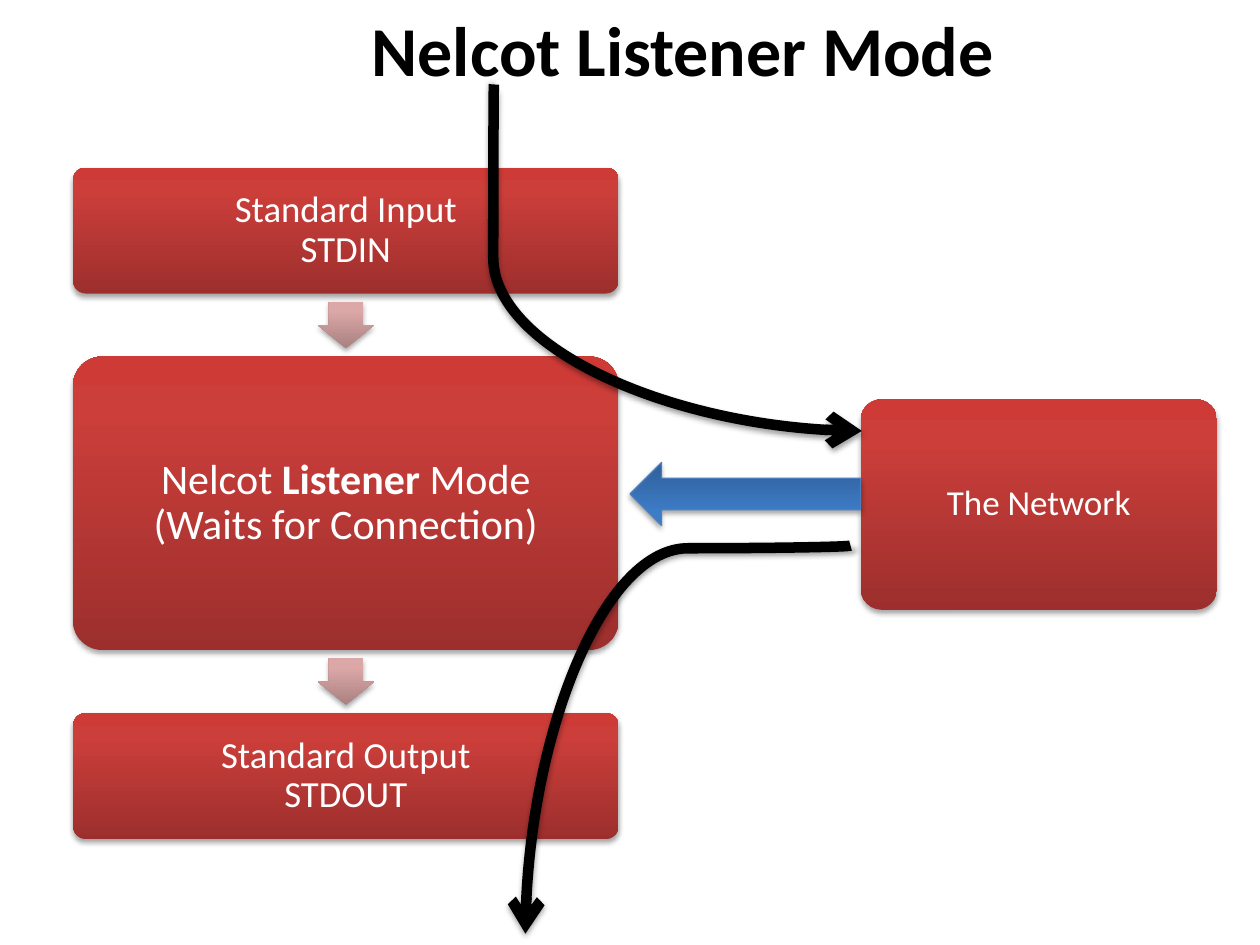
import pptx
import pptx.util
import pptx.dml.color
import pptx.enum.shapes
import pptx.enum.text
import pptx.oxml

Inches, Pt = pptx.util.Inches, pptx.util.Pt
SHAPE = pptx.enum.shapes.MSO_SHAPE
ALIGN = pptx.enum.text.PP_ALIGN
ANCHOR = pptx.enum.text.MSO_ANCHOR
NS = 'xmlns:a="http://schemas.openxmlformats.org/drawingml/2006/main"'

COLORS = {"ink": "000000", "white": "FFFFFF", "blue_edge": "4B7EBC"}
# Gradient stops at 0, 80 and 100 percent, from bottom to top
GRADIENTS = {
    "red": ("9C2F2D", "CB3E3A", "CE3B37"),
    "pink": ("A98180", "DBA7A7", "DDA7A6"),
    "blue": ("2F5F99", "3D7CC7", "3A7CCB"),
}


def rgb(name):
    return pptx.dml.color.RGBColor.from_string(COLORS[name])


def add_text(para, text, size=20, color="white", bold=False, font="Calibri"):
    """Add formatted text to a paragraph; a newline becomes a line break."""
    for index, line in enumerate(text.split("\n")):
        if index:
            para.add_line_break()
        span = para.add_run()
        span.text = line
        span.font.name = font
        span.font.size = Pt(size)
        span.font.bold = bold
        span.font.color.rgb = rgb(color)


class SlideBuilder:
    def __init__(self, deck):
        self.page = deck.slides.add_slide(deck.slide_layouts[5])

    def shade(self, shape, alpha, distance):
        shape._element.spPr.append(pptx.oxml.parse_xml(
            f'<a:effectLst {NS}><a:outerShdw blurRad="{Pt(3.1)}" dist="{Pt(distance)}" '
            f'dir="5400000" rotWithShape="0"><a:srgbClr val="{COLORS["ink"]}">'
            f'<a:alpha val="{alpha * 1000}"/></a:srgbClr></a:outerShdw></a:effectLst>'))

    def title(self, text, left, top, width, height):
        box = self.page.shapes.title
        box.left, box.top, box.width, box.height = map(Inches, (left, top, width, height))
        frame = box.text_frame
        frame.word_wrap = False
        frame.auto_size = pptx.enum.text.MSO_AUTO_SIZE.SHAPE_TO_FIT_TEXT
        frame.vertical_anchor = ANCHOR.TOP
        para = frame.paragraphs[0]
        para.alignment = ALIGN.LEFT
        add_text(para, text, size=40, color="ink", bold=True)

    def shape(self, kind, left, top, width, height, gradient, adjust=(),
              rotation=0, edge=None, turn_fill=True):
        shape = self.page.shapes.add_shape(kind, *map(Inches, (left, top, width, height)))
        shape.rotation = rotation
        for index, value in enumerate(adjust):
            shape.adjustments[index] = value
        if edge:
            shape.line.color.rgb = rgb(edge)
            shape.line.width = Pt(0.75)
        else:
            shape.line.fill.background()
        stops = "".join(f'<a:gs pos="{pos}"><a:srgbClr val="{color}"/></a:gs>'
                        for pos, color in zip((0, 80000, 100000), GRADIENTS[gradient]))
        # The fill goes right after the position and the geometry
        shape._element.spPr.insert(2, pptx.oxml.parse_xml(
            f'<a:gradFill {NS} rotWithShape="{int(turn_fill)}"><a:gsLst>{stops}</a:gsLst>'
            '<a:lin ang="16200000" scaled="0"/></a:gradFill>'))
        self.shade(shape, 35, 1.8)
        return shape

    def box(self, left, top, width, height, spans, size, inset):
        box = self.shape(SHAPE.ROUNDED_RECTANGLE, left, top, width, height, "red", (0.1,))
        frame = box.text_frame
        frame.word_wrap = True
        frame.vertical_anchor = ANCHOR.MIDDLE
        frame.margin_left = frame.margin_right = Inches(inset)
        frame.margin_top = frame.margin_bottom = Inches(inset)
        para = frame.paragraphs[0]
        para.alignment = ALIGN.CENTER
        para.line_spacing = 0.9
        for text, bold in spans:
            add_text(para, text, size=size, bold=bold)

    def curve(self, left, top, width, height, bend, rotation=0):
        curve = self.page.shapes.add_connector(
            pptx.enum.shapes.MSO_CONNECTOR.CURVE,
            *map(Inches, (left, top, left + width, top + height)))
        properties = curve._element.spPr
        properties.xfrm.set("rot", str(rotation * 60000))
        properties.prstGeom.get_or_add_avLst().append(pptx.oxml.parse_xml(
            f'<a:gd {NS} name="adj1" fmla="val {round(bend * 100000)}"/>'))
        curve.line.color.rgb = rgb("ink")
        curve.line.width = Pt(6)
        curve.line._get_or_add_ln().append(
            pptx.oxml.parse_xml(f'<a:tailEnd {NS} type="arrow"/>'))
        self.shade(curve, 38, 1.6)


def main():
    deck = pptx.Presentation()
    deck.slide_width, deck.slide_height = Inches(10), Inches(7.5)
    builder = SlideBuilder(deck)

    builder.title("Nelcot Listener Mode", 2.85, 0, 5.24, 0.77)

    # Column of stages, with a small arrow in each gap
    stages = [
        (1, 21, 0.09, [("Standard Input\nSTDIN", False)]),
        (2.33, 24, 0.1, [("Nelcot ", False), ("Listener ", True),
                         ("Mode\n(Waits for Connection)", False)]),
        (1, 21, 0.09, [("Standard Output\nSTDOUT", False)]),
    ]
    left, top, width, gap = 0.58, 1.33, 4.33, 0.5
    arrow_width, arrow_height = 0.37, 0.45
    for index, (height, size, inset, spans) in enumerate(stages):
        if index:
            builder.shape(SHAPE.RIGHT_ARROW, left + (width - arrow_width) / 2,
                          top - (gap + arrow_height) / 2, arrow_width, arrow_height,
                          "pink", (0.6, 0.5), rotation=90, turn_fill=False)
        builder.box(left, top, width, height, spans, size, inset)
        top += height + gap

    # Network
    builder.box(6.83, 3.17, 2.83, 1.67, [("The Network", False)], 20, 0.08)

    # Data flow to and from the network
    builder.curve(3.92, 0.67, 2.92, 2.75, -0.002)
    builder.curve(3.92, 4.58, 3.08, 2.58, 0.007, rotation=90)

    # Incoming connection
    builder.shape(SHAPE.RIGHT_ARROW, 5, 3.67, 1.83, 0.5, "blue",
                  rotation=180, edge="blue_edge")

    deck.save("out.pptx")


if __name__ == "__main__":
    main()
